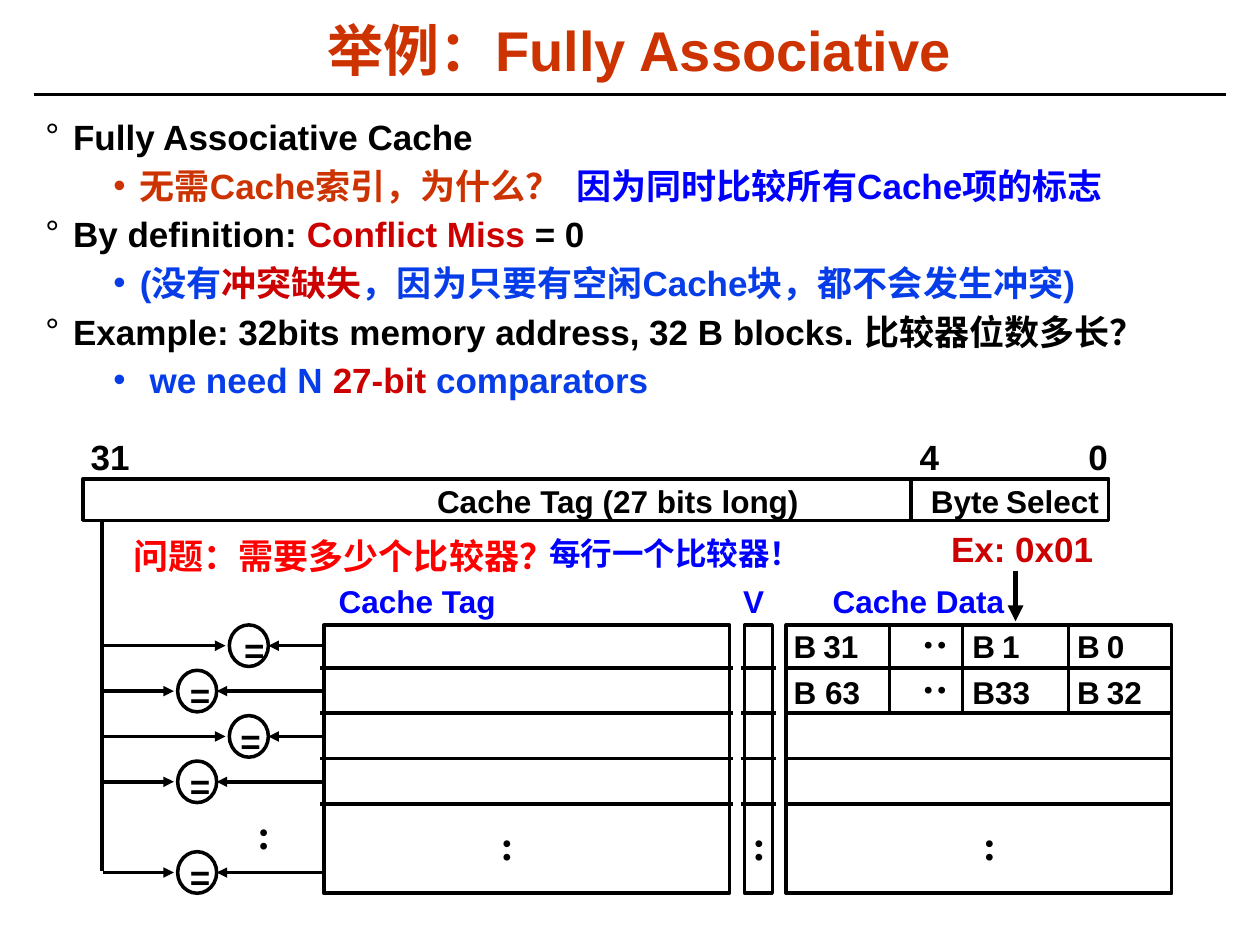
"""Build a slide explaining a fully associative cache."""
import pptx
import pptx.dml.color
import pptx.enum.shapes
import pptx.enum.text
import pptx.oxml.ns
import pptx.util
from lxml import etree

Inches = pptx.util.Inches
Pt = pptx.util.Pt
SHAPE = pptx.enum.shapes.MSO_SHAPE
COLORS = {"black": "000000", "orange": "CC3300", "blue": "0000FF",
          "royal": "063DE8", "crimson": "CC0000", "red": "FF0000"}

TITLE = "举例：Fully Associative"
BULLETS = [
    (0, "black", [("Fully Associative Cache", "black")]),
    (1, "orange", [("无需Cache索引，为什么？  ", "orange"),
                   ("因为同时比较所有Cache项的标志", "blue")]),
    (0, "black", [("By definition: ", "black"), ("Conflict Miss", "crimson"),
                  (" = 0", "black")]),
    (1, "royal", [("(没有", "royal"), ("冲突缺失", "crimson"),
                  ("，因为只要有空闲Cache块，都不会发生冲突)", "royal")]),
    (0, "black", [("Example: 32bits memory address, 32 B blocks. 比较器位数多长？", "black")]),
    (1, "royal", [(" we need N ", "royal"), ("27-bit ", "crimson"),
                  ("comparators", "royal")]),
]
BULLET_STYLES = [("°", 0.22, -0.22), ("•", 0.75, -0.21)]
LABELS = [
    ("31", 0.62, 3.41, 0.51, 20, "black"),
    ("4", 7.2, 3.41, 0.35, 20, "black"),
    ("0", 8.54, 3.41, 0.35, 20, "black"),
    ("Cache Tag (27 bits long)", 3.37, 3.78, 3.09, 18, "black"),
    ("Ex: 0x01", 7.45, 4.14, 1.33, 20, "crimson"),
    ("Cache Tag", 2.59, 4.57, 1.47, 18, "blue"),
    ("V", 5.8, 4.57, 0.36, 18, "blue"),
    ("Cache Data", 6.51, 4.57, 1.56, 18, "blue"),
    ("B 63", 6.2, 5.29, 0.73, 18, "black"),
    ("B33", 7.62, 5.29, 0.66, 18, "black"),
]
TIGHT_LABELS = [
    ("Byte", "Select", 7.29, 3.78, 1.65),
    ("B", "31", 6.2, 4.93, 0.85),
    ("B", "1", 7.62, 4.93, 0.7),
    ("B", "0", 8.45, 4.93, 0.7),
    ("B", "32", 8.45, 5.29, 0.85),
]
QUESTIONS = [
    ("问题：需要多少个比较器？", 1.06, 3.49, 20, "red"),
    ("每行一个比较器！", 4.36, 2.31, 18, "blue"),
]
COLUMNS = [(2.57, 3.22, 0.03), (5.91, 0.22, 0.03), (6.24, 3.06, 0)]
DATA_DIVIDERS = [7.06, 7.64, 8.48]
DOTS = [(1.94, 6.36, 0), (3.87, 6.45, 0), (5.87, 6.45, 0), (7.7, 6.45, 0),
        (7.2, 4.88, 270), (7.2, 5.24, 270)]
COMPARATORS = [(0, 1.82, 0.02), (1, 1.41, 0), (2, 1.82, -0.01), (3, 1.41, 0), (5, 1.41, 0)]
TABLE_TOP, TABLE_HEIGHT, ROW_STEP = 4.96, 2.13, 0.36
CIRCLE_WIDTH, CIRCLE_HEIGHT = 0.31, 0.33


def rgb(color):
    return pptx.dml.color.RGBColor.from_string(COLORS[color])


def set_font(font, size, color="black", name="Arial"):
    font.size, font.bold, font.name = Pt(size), True, name
    font.color.rgb = rgb(color)


def add_text_box(slide, left, top, width, height, margins=(0.1, 0.05), wrap=False):
    box = slide.shapes.add_textbox(*map(Inches, (left, top, width, height)))
    frame = box.text_frame
    frame.word_wrap = wrap
    frame.margin_left = frame.margin_right = Inches(margins[0])
    frame.margin_top = frame.margin_bottom = Inches(margins[1])
    return box


def add_label(slide, text, left, top, width, size, color="black", name="Arial", **options):
    box = add_text_box(slide, left, top, width, size / 50, **options)
    paragraph = box.text_frame.paragraphs[0]
    paragraph.text = text
    set_font(paragraph.font, size, color, name)
    return box


def add_tight_label(slide, first, last, left, top, width):
    paragraph = add_text_box(slide, left, top, width, 0.4).text_frame.paragraphs[0]
    for text, size, name in [(first, 18, "Arial"), (" ", 16, "Times New Roman"),
                             (last, 18, "Arial")]:
        run = paragraph.add_run()
        run.text = text
        set_font(run.font, size, name=name)


def add_line(slide, left, top, right, bottom, width=2, arrow=False):
    line = slide.shapes.add_connector(pptx.enum.shapes.MSO_CONNECTOR.STRAIGHT,
                                      *map(Inches, (left, top, right, bottom)))
    line.line.color.rgb = rgb("black")
    line.line.width = Pt(width)
    if arrow:
        etree.SubElement(line.line._get_or_add_ln(), pptx.oxml.ns.qn("a:tailEnd"),
                         type="triangle")
    etree.SubElement(line._element.spPr, pptx.oxml.ns.qn("a:effectLst"))


def add_outline(slide, kind, left, top, width, height):
    shape = slide.shapes.add_shape(kind, *map(Inches, (left, top, width, height)))
    shape.shadow.inherit = False
    shape.fill.background()
    shape.line.color.rgb = rgb("black")
    shape.line.width = Pt(2)


def add_heading(slide):
    add_line(slide, 0.27, 0.75, 9.73, 0.75, 1.5)
    frame = add_label(slide, TITLE, 0.26, 0.11, 9.63, 32, "orange", wrap=True).text_frame
    frame.vertical_anchor = pptx.enum.text.MSO_ANCHOR.MIDDLE
    frame.paragraphs[0].alignment = pptx.enum.text.PP_ALIGN.CENTER
    frame.paragraphs[0].line_spacing = 0.87


def add_bullets(slide):
    frame = add_text_box(slide, 0.29, 0.89, 9.4, 2.32, (0.07, 0.03), True).text_frame
    for index, (level, bullet_color, runs) in enumerate(BULLETS):
        paragraph = frame.add_paragraph() if index else frame.paragraphs[0]
        paragraph.level = level
        paragraph.space_before = Pt(3.7)
        symbol, margin, indent = BULLET_STYLES[level]
        properties = paragraph._p.get_or_add_pPr()
        properties.set("marL", str(Inches(margin)))
        properties.set("indent", str(Inches(indent)))
        color = etree.SubElement(properties, pptx.oxml.ns.qn("a:buClr"))
        etree.SubElement(color, pptx.oxml.ns.qn("a:srgbClr"), val=COLORS[bullet_color])
        etree.SubElement(properties, pptx.oxml.ns.qn("a:buFont"), typeface="Arial")
        etree.SubElement(properties, pptx.oxml.ns.qn("a:buChar"), char=symbol)
        for text, run_color in runs:
            run = paragraph.add_run()
            run.text = text
            set_font(run.font, 20, run_color)


def add_cache_table(slide):
    for left, width, overhang in COLUMNS:
        add_outline(slide, SHAPE.RECTANGLE, left, TABLE_TOP, width, TABLE_HEIGHT)
        for row in range(4):
            y = 5.3 + row * ROW_STEP
            add_line(slide, left - overhang, y, left + width + overhang, y)
    for row in range(2):
        top = TABLE_TOP + row * ROW_STEP
        for x in DATA_DIVIDERS:
            add_line(slide, x, top, x, top + 0.33)


def add_comparators(slide):
    add_line(slide, 0.81, 4.14, 0.81, 6.91)
    for row, left, shift in COMPARATORS:
        top = TABLE_TOP + row * ROW_STEP
        middle = top + CIRCLE_HEIGHT / 2
        add_outline(slide, SHAPE.OVAL, left, top, CIRCLE_WIDTH, CIRCLE_HEIGHT)
        add_label(slide, "=", left + shift, top - 0.02, 0.36, 20)
        add_line(slide, 2.57, middle, left + CIRCLE_WIDTH, middle, arrow=True)
        add_line(slide, 0.82, middle, left - 0.03, middle, arrow=True)


def main():
    presentation = pptx.Presentation()
    presentation.slide_width, presentation.slide_height = Inches(10), Inches(7.5)
    slide = presentation.slides.add_slide(presentation.slide_layouts[6])
    add_heading(slide)
    add_bullets(slide)
    add_outline(slide, SHAPE.RECTANGLE, 0.66, 3.8, 8.14, 0.33)
    add_line(slide, 7.23, 3.8, 7.23, 4.13)
    add_cache_table(slide)
    add_comparators(slide)
    add_line(slide, 8.06, 4.53, 8.06, 4.93, 3, arrow=True)
    for label in LABELS:
        add_label(slide, *label)
    for label in TIGHT_LABELS:
        add_tight_label(slide, *label)
    for left, top, rotation in DOTS:
        add_label(slide, ":", left, top, 0.31, 24, name="Times New Roman").rotation = rotation
    for text, left, width, size, color in QUESTIONS:
        add_label(slide, text, left, 4.24, width, size, color, margins=(0, 0), wrap=True)
    presentation.save("out.pptx")


if __name__ == "__main__":
    main()
